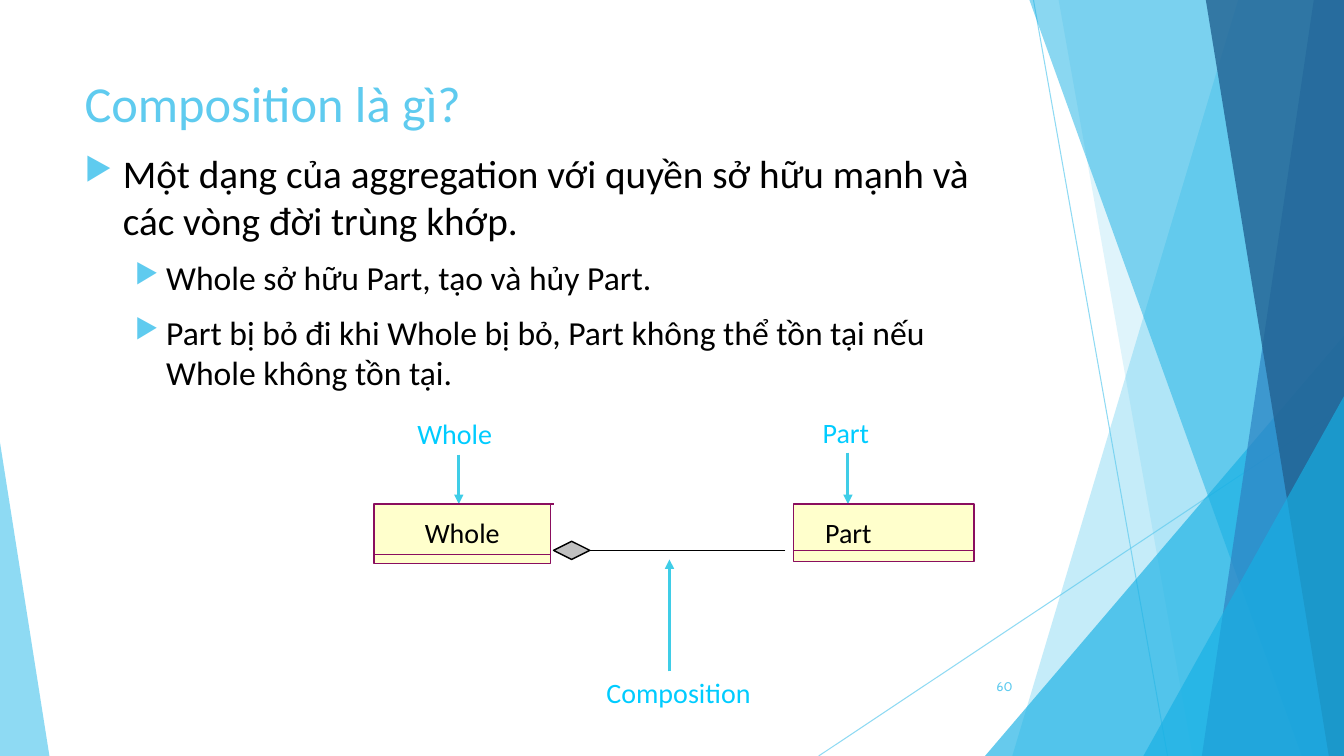
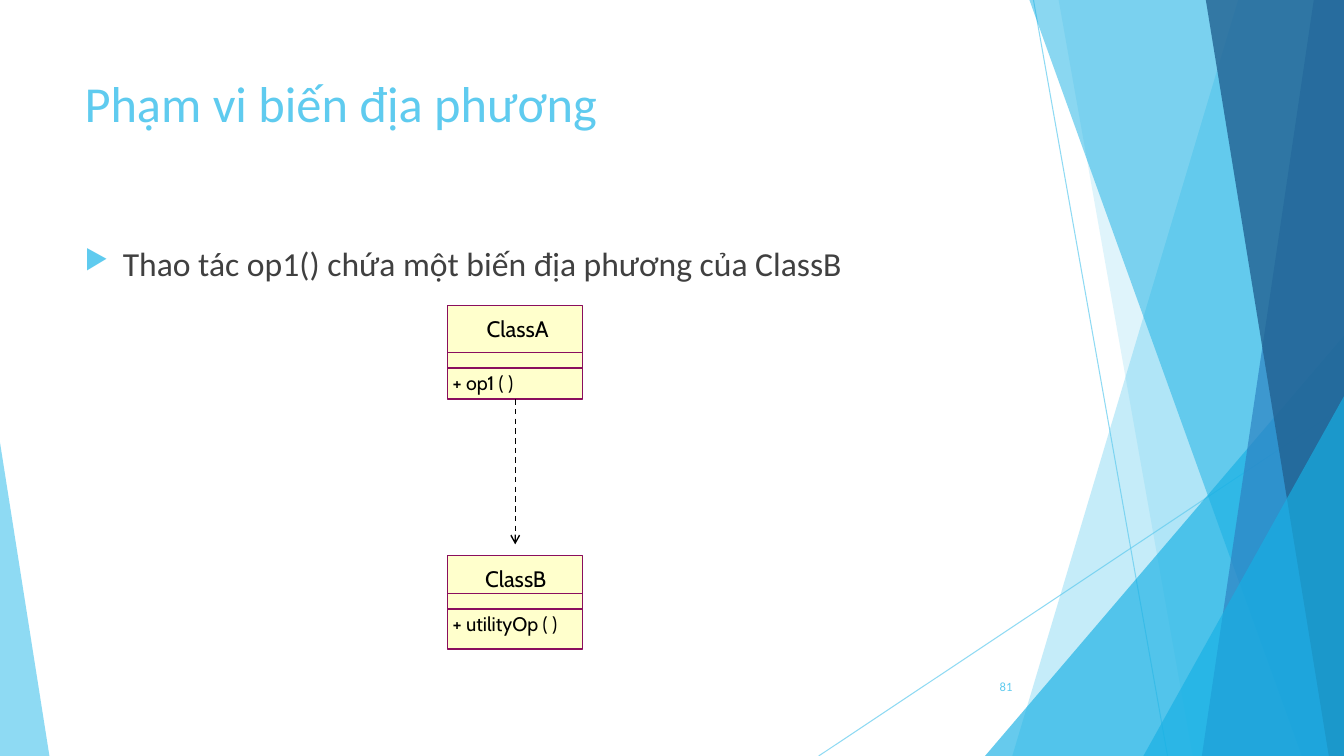
from lxml.etree import SubElement
from pptx import Presentation
from pptx.dml.color import RGBColor
from pptx.enum.dml import MSO_LINE as Dash
from pptx.enum.shapes import MSO_CONNECTOR as Link, MSO_SHAPE as Form
from pptx.enum.text import MSO_ANCHOR as Anchor, PP_ALIGN as Align
from pptx.oxml.ns import qn
from pptx.util import Inches, Pt

WIDE, HIGH = 13.33, 7.5
HUES = {
    "sky": "5FCBEF", "cyan": "17B0E4", "blue": "2E83C3", "navy": "226292",
    "ink": "000000", "gray": "404040", "note": "00CCFF", "arrow": "3FCDE7",
    "cream": "FFFFCC", "plum": "8A0E5E", "silver": "C0C0C0",
}
SANS, ROUND = "Calibri", "Cabin"

# Slanted bands: top left, top right, bottom right, bottom left x; colour; alpha
BACK = [(12.28, WIDE, WIDE, 10.04, "sky", 36),
        (10.5, WIDE, WIDE, 11.83, "sky", 20)]
FRONT = [(10.21, WIDE, WIDE, 12.91, "cyan", 50),
         (13.03, WIDE, WIDE, 11.92, "blue", 70),
         (11.96, WIDE, WIDE, 13.18, "navy", 80)]


def hue(name):
    return RGBColor.from_string(HUES[name])


def fade(shape, alpha):
    """Make the first colour of a shape translucent, alpha in percent."""
    color = next(shape._element.iter(qn("a:srgbClr")))
    SubElement(color, qn("a:alpha"), val=str(alpha * 1000))


def paint(shape, fill, line=None, width=1):
    shape.shadow.inherit = False
    shape.fill.solid()
    shape.fill.fore_color.rgb = hue(fill)
    if line:
        shape.line.color.rgb = hue(line)
        shape.line.width = Pt(width)
    else:
        shape.line.fill.background()


def add_form(slide, form, box, fill, line=None):
    shape = slide.shapes.add_shape(form, *map(Inches, box))
    paint(shape, fill, line)
    return shape


def add_line(slide, start, end, color, width=1, tip=None):
    line = slide.shapes.add_connector(
        Link.STRAIGHT, *map(Inches, (*start, *end)))
    line.line.color.rgb = hue(color)
    line.line.width = Pt(width)
    SubElement(line._element.spPr, qn("a:effectLst"))
    if tip:
        SubElement(line.line._get_or_add_ln(), qn("a:tailEnd"), type=tip)
    return line


def style(para, size, color, font=SANS, align=Align.LEFT):
    para.alignment = align
    para.font.size = Pt(size)
    para.font.name = font
    para.font.color.rgb = hue(color)


def pad(frame, side, top):
    frame.margin_left = frame.margin_right = Inches(side)
    frame.margin_top = frame.margin_bottom = Inches(top)


def add_text(slide, box, text, size, color, font=SANS, align=Align.LEFT,
             anchor=Anchor.TOP, inset=(0.1, 0.05)):
    frame = slide.shapes.add_textbox(*map(Inches, box)).text_frame
    frame.word_wrap = True
    frame.vertical_anchor = anchor
    pad(frame, *inset)
    frame.text = text
    style(frame.paragraphs[0], size, color, font, align)


def add_note(slide, box, text):
    add_text(slide, box, text, 20, "note", align=Align.CENTER,
             inset=(0.12, 0.06))


def add_band(slide, a, b, c, d, color, alpha):
    spots = [(Inches(x), Inches(y))
             for x, y in ((a, 0), (b, 0), (c, HIGH), (d, HIGH))]
    path = slide.shapes.build_freeform(*spots[0])
    path.add_line_segments(spots[1:], close=True)
    band = path.convert_to_shape()
    paint(band, color)
    fade(band, alpha)


def add_wedge(slide, left, top, width, peak, color, alpha):
    """Right triangle standing on the slide's foot, peak at 0 left or 1 right."""
    box = (left, top, width, HIGH - top)
    wedge = add_form(slide, Form.ISOSCELES_TRIANGLE, box, color)
    wedge.adjustments[0] = peak
    fade(wedge, alpha)


def add_decor(slide):
    for start, end in (((10.25, 0), (11.58, HIGH)), ((WIDE, 4.03), (8.12, HIGH))):
        fade(add_line(slide, start, end, "sky", 0.75), 70)
    for band in BACK:
        add_band(slide, *band)
    add_wedge(slide, 9.77, 3.33, 3.56, 1, "cyan", 66)
    for band in FRONT:
        add_band(slide, *band)
    add_wedge(slide, 11.34, 3.93, 1.99, 1, "cyan", 66)
    add_wedge(slide, 0, 4.39, 0.49, 0, "sky", 70)


def add_base(deck, title, number, font):
    """Blank slide with the shared backdrop, title and page number."""
    slide = deck.slides.add_slide(deck.slide_layouts[6])
    add_decor(slide)
    add_text(slide, (0.74, 0.67, 9.4, 1.44), title, 36, "sky")
    add_text(slide, (9.39, 6.61, 0.75, 0.4), number, 9, "sky", font,
             Align.RIGHT, Anchor.MIDDLE)
    return slide


def add_bullet(para, left, hang):
    props = para._p.get_or_add_pPr()
    props.set("marL", str(Inches(left)))
    props.set("indent", str(-Inches(hang)))
    tint = SubElement(props, qn("a:buClr"))
    SubElement(tint, qn("a:srgbClr"), val=HUES["sky"])
    SubElement(props, qn("a:buSzPct"), val="80000")
    SubElement(props, qn("a:buChar"), char="▶")


def add_body(slide, top, items, color):
    """Bulleted text; items hold level, size and wording."""
    box = map(Inches, (0.74, top, 9.4, 4.24))
    frame = slide.shapes.add_textbox(*box).text_frame
    frame.word_wrap = True
    for i, (level, size, text) in enumerate(items):
        para = frame.add_paragraph() if i else frame.paragraphs[0]
        para.text = text
        para.level = level
        add_bullet(para, *((0.81, 0.31) if level else (0.38, 0.38)))
        if i:
            para.space_before = Pt(10)
        style(para, size, color)


def add_class(slide, box, name, plate, rules, size, font=SANS):
    """UML class; plate (name box) and rules are offsets from its corner."""
    left, top, width, _ = box
    rect = add_form(slide, Form.RECTANGLE, box, "cream", "plum")
    for drop in rules:
        y = top + drop
        add_line(slide, (left, y), (left + width, y), "plum")
    dx, dy, wide, high = plate
    tag = add_form(slide, Form.RECTANGLE,
                   (left + dx, top + dy, wide, high), "cream")
    frame = tag.text_frame
    frame.word_wrap = False
    frame.vertical_anchor = Anchor.MIDDLE
    pad(frame, 0, 0)
    frame.text = name
    style(frame.paragraphs[0], size, "ink", font, Align.CENTER)
    return rect


def add_whole(slide, left, top):
    """Composition diagram: Whole owns Part."""
    gem = add_form(slide, Form.DIAMOND, (left + 1.78, top + 0.37, 0.36, 0.18),
                   "silver", "ink")
    y = top + 0.46
    bond = add_line(slide, (left + 4.08, y), (left + 2.14, y), "ink")
    bond.end_connect(gem, 3)
    add_note(slide, (left + 0.26, top - 0.93, 1.08, 0.46), "Whole")
    add_note(slide, (left + 2.1, top + 1.64, 1.84, 0.46), "Composition")
    add_note(slide, (left + 4.2, top - 0.94, 0.96, 0.46), "Part")
    for dx, start, end in ((2.93, 1.66, 0.55), (0.84, -0.49, 0), (4.7, -0.51, 0)):
        add_line(slide, (left + dx, top + start), (left + dx, top + end),
                 "arrow", 2.25, "triangle")
    add_class(slide, (left + 4.16, top, 1.79, 0.57), "Part",
              (0.31, 0.11, 0.47, 0.34), [0.46], 20)
    add_class(slide, (left, top, 1.75, 0.59), "Whole",
              (0.5, 0.11, 0.75, 0.34), [0.5], 20)
    add_line(slide, (left + 0.03, top), (left + 1.78, top), "plum")


def add_local(slide, left, top):
    """Dependency diagram: ClassA uses ClassB."""
    rects = []
    for name, task, drop, dx, rule in (("ClassA", "+ op1 ( )", 0, 0.38, 0.47),
                                       ("ClassB", "+ utilityOp ( )", 2.48, 0.36, 0.38)):
        y = top + drop
        rects.append(add_class(slide, (left, y, 1.34, 0.93), name,
                               (dx, 0.09, 0.63, 0.27), [rule, rule + 0.15],
                               16, ROUND))
        add_text(slide, (left - 0.05, y + rule + 0.13, 1.44, 0.34), task,
                 14, "ink", ROUND)
    x = left + 0.67
    use = add_line(slide, (x, top + 0.93), (x, top + 2.37), "ink", tip="arrow")
    use.line.dash_style = Dash.DASH
    use.begin_connect(rects[0], 2)


def main():
    deck = Presentation()
    deck.slide_width, deck.slide_height = Inches(WIDE), Inches(HIGH)

    slide = add_base(deck, "Composition là gì?", "60", ROUND)
    add_body(slide, 1.43, [
        (0, 28, "Một dạng của aggregation với quyền sở hữu mạnh và các vòng đời trùng khớp."),
        (1, 24, "Whole sở hữu Part, tạo và hủy Part."),
        (1, 24, "Part bị bỏ đi khi Whole bị bỏ, Part không thể tồn tại nếu Whole không tồn tại."),
    ], "ink")
    add_whole(slide, 3.71, 5)

    slide = add_base(deck, "Phạm vi biến địa phương", "81", SANS)
    add_body(slide, 2.36, [
        (0, 24, "Thao tác op1() chứa một biến địa phương của ClassB"),
    ], "gray")
    add_local(slide, 4.44, 3.03)

    deck.save("out.pptx")


if __name__ == "__main__":
    main()
